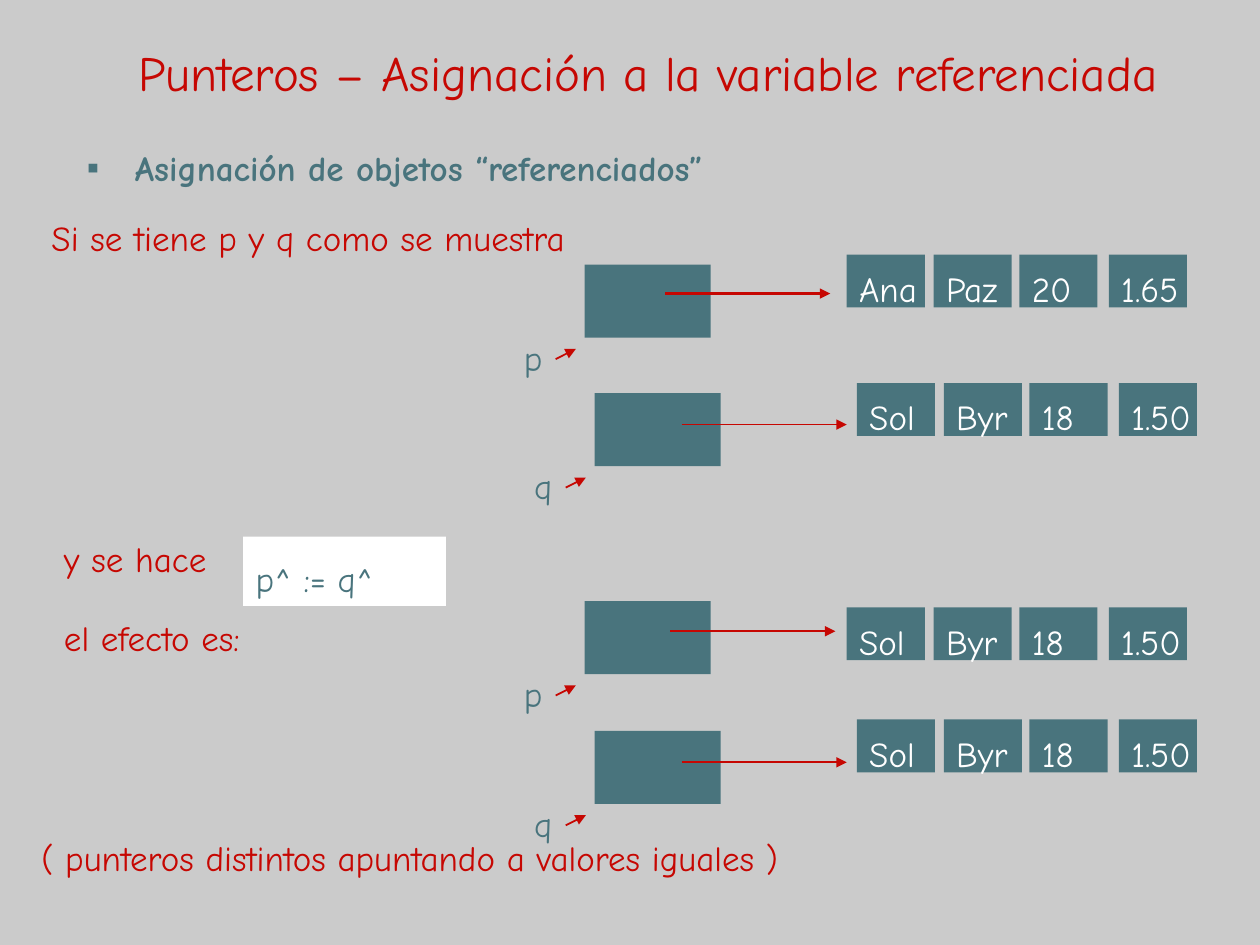
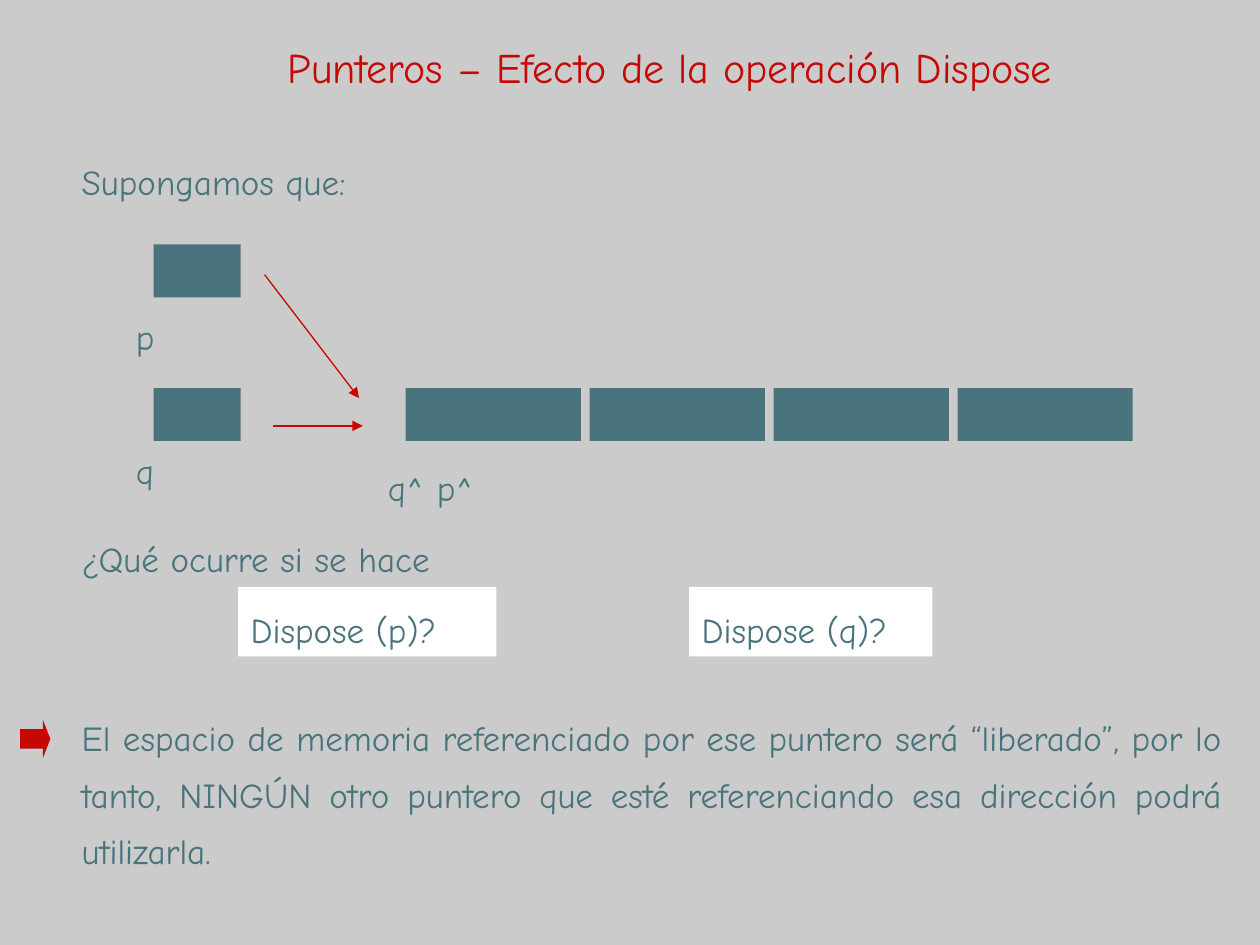
from lxml import etree
from pptx import Presentation
from pptx import util as u
from pptx.dml.color import RGBColor
from pptx.enum import shapes, text
from pptx.oxml import ns

PX = u.Inches(1) // 100
FONT = "Comic Neue"
COLORS = {"back": "CBCBCB", "teal": "49747D", "red": "C60702", "white": "FFFFFF"}


def rgb(name):
    return RGBColor.from_string(COLORS[name])


def px(*lengths):
    return [length * PX for length in lengths]


def add_xml(parent, tag, **attributes):
    return etree.SubElement(parent, ns.qn(tag), attributes)


def write(frame, lines, size=20, color="teal", bold=False, align=text.PP_ALIGN.JUSTIFY,
          anchor=text.MSO_ANCHOR.TOP, spacing=1.35, gap=12.5, wrap=True):
    frame.auto_size = text.MSO_AUTO_SIZE.NONE
    frame.word_wrap = wrap
    frame.vertical_anchor = anchor
    for index, line in enumerate(lines.split("\n")):
        para = frame.add_paragraph() if index else frame.paragraphs[0]
        para.alignment = align
        para.line_spacing = spacing
        para.space_before = u.Pt(gap if index else 0)
        span = para.add_run()
        span.text = line
        span.font.name = FONT
        span.font.size = u.Pt(size)
        span.font.bold = bold
        span.font.color.rgb = rgb(color)


class Board:
    def __init__(self):
        self.deck = Presentation()
        self.deck.slide_width, self.deck.slide_height = px(1000, 750)
        fill = self.deck.slide_master.background.fill
        fill.solid()
        fill.fore_color.rgb = rgb("back")
        self.page = None

    def new_page(self, layout):
        self.page = self.deck.slides.add_slide(self.deck.slide_layouts.get_by_name(layout))

    def place(self, holder, area):
        holder.left, holder.top, holder.width, holder.height = px(*area)
        return holder.text_frame

    def title(self, words, area, size):
        write(self.place(self.page.shapes.title, area), words, size=size, color="red",
              align=text.PP_ALIGN.CENTER, anchor=text.MSO_ANCHOR.MIDDLE, spacing=1)

    def bullet(self, words, area):
        frame = self.place(self.page.placeholders[1], area)
        write(frame, words, bold=True, align=text.PP_ALIGN.LEFT, spacing=1)
        for para in frame.paragraphs:
            props = para._p.get_or_add_pPr()
            props.set("marL", str(38 * PX))
            props.set("indent", str(-38 * PX))
            add_xml(add_xml(props, "a:buClr"), "a:srgbClr", val=COLORS["teal"])
            add_xml(props, "a:buChar", char="▪")

    def label(self, words, area, **style):
        box = self.page.shapes.add_textbox(*px(*area))
        write(box.text_frame, words, **style)

    def block(self, area, fill="teal", words="", kind=shapes.MSO_SHAPE.RECTANGLE, **style):
        box = self.page.shapes.add_shape(kind, *px(*area))
        box.shadow.inherit = False
        box.fill.solid()
        box.fill.fore_color.rgb = rgb(fill)
        box.line.fill.background()
        if words:
            write(box.text_frame, words, **style)
        return box

    def arrow(self, start, end, width=1):
        line = self.page.shapes.add_connector(shapes.MSO_CONNECTOR.STRAIGHT, *px(*start, *end))
        line.line.color.rgb = rgb("red")
        line.line.width = u.Pt(width)
        add_xml(line.line._get_or_add_ln(), "a:tailEnd", type="triangle")
        add_xml(line._element.spPr, "a:effectLst")

    def pointer(self, name, left, top, record_top, arrow_start, record, width=1):
        centred = dict(anchor=text.MSO_ANCHOR.MIDDLE, wrap=False)
        self.block((left, top, 100, 58))
        self.label(name, (left - 58, top + 42, 85, 51), **centred)
        self.arrow((left - 23, top + 75), (left - 7, top + 67))
        for offset, value in zip((0, 69, 137, 208), record):
            self.block((left + 208 + offset, record_top, 62, 42), words=value,
                       color="white", **centred)
        x, y = arrow_start
        self.arrow((x, y), (x + 131, y), width)


def assignment_page(board):
    board.new_page("Title and Content")
    board.title("Punteros – Asignación a la variable referenciada", (59, 17, 910, 80), 28)
    board.bullet("Asignación de objetos “referenciados”", (59, 111, 858, 55))
    for words, area in (
        ("Si se tiene p y q como se muestra", (31, 155, 579, 55)),
        ("y se hace\nel efecto es:", (41, 410, 790, 118)),
        ("( punteros distintos apuntando a valores iguales )", (23, 647, 673, 55)),
    ):
        board.label(words, area, color="red")
    ana = ("Ana", "Paz", "20", "1.65")
    sol = ("Sol", "Byr", "18", "1.50")
    board.pointer("p", 464, 210, 202, (528, 233), ana, width=1.5)
    board.pointer("q", 472, 312, 304, (541, 337), sol)
    board.pointer("p", 464, 477, 482, (532, 501), sol)
    board.pointer("q", 472, 580, 571, (541, 605), sol)
    board.block((193, 426, 161, 55), "white", "p^ := q^")


def dispose_page(board):
    board.new_page("Title Only")
    board.title("Punteros – Efecto de la operación Dispose", (118, 13, 827, 80), 24)
    for words, area in (
        ("Supongamos que:", (55, 111, 787, 55)),
        ("p", (98, 234, 54, 55)),
        ("q", (98, 340, 54, 55)),
        ("q^", (298, 354, 77, 55)),
        ("p^", (337, 354, 77, 55)),
        ("¿Qué ocurre si se hace", (55, 410, 343, 55)),
        ("El espacio de memoria referenciado por ese puntero será “liberado”, por lo tanto, "
         "NINGÚN otro puntero que esté referenciando esa dirección podrá utilizarla.",
         (55, 552, 925, 145)),
    ):
        board.label(words, area)
    for top in (194, 308):
        board.block((122, top, 69, 42))
    for field in range(4):
        board.block((322 + 146 * field, 308, 139, 42))
    board.arrow((217, 338), (288, 338), 0.75)
    board.arrow((210, 218), (285, 316), 0.75)
    board.block((189, 466, 205, 55), "white", "Dispose (p)?")
    board.block((547, 466, 193, 55), "white", "Dispose (q)?")
    marker = board.block((16, 571, 24, 31), "red", kind=shapes.MSO_SHAPE.RIGHT_ARROW)
    marker.adjustments[1] = 0.25


def main():
    board = Board()
    assignment_page(board)
    dispose_page(board)
    board.deck.save("out.pptx")


if __name__ == "__main__":
    main()
